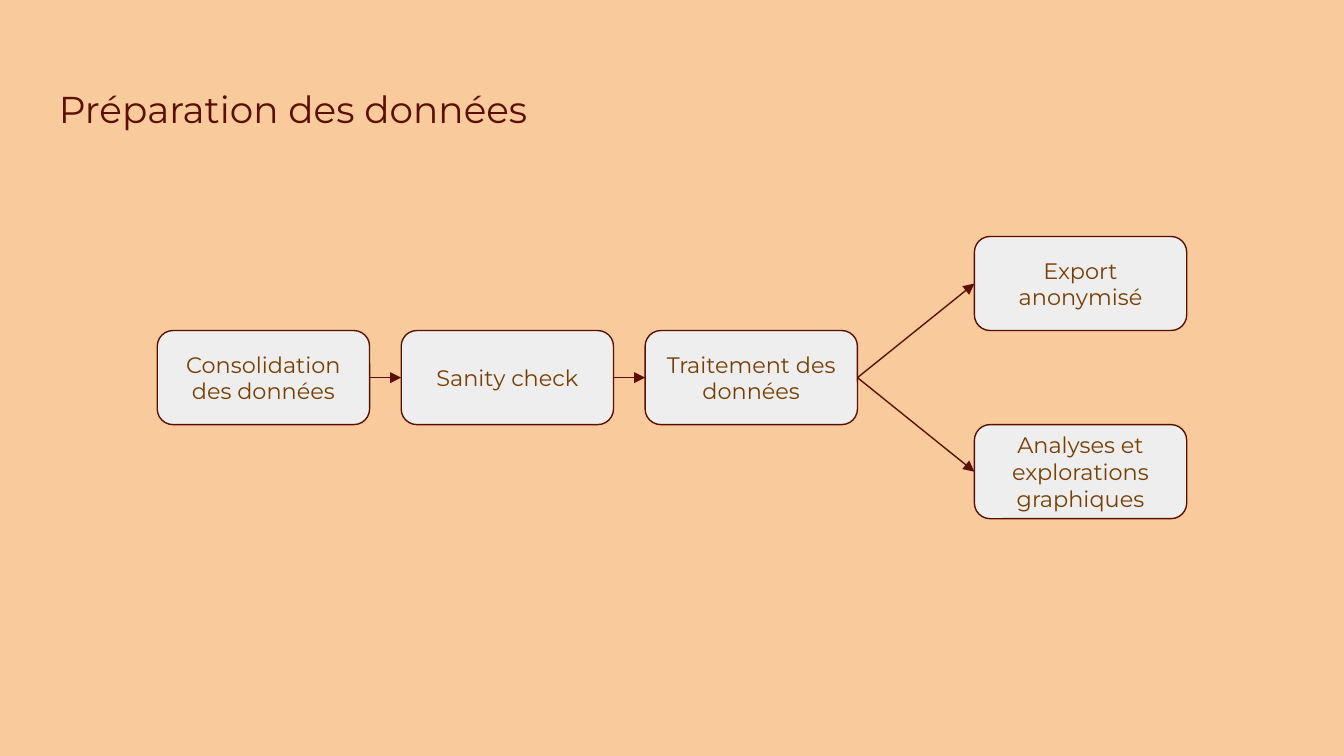
"""Build a flow diagram slide about data preparation."""
from lxml import etree
from pptx import Presentation, util as u
from pptx.dml.color import RGBColor
from pptx.enum import shapes as kinds, text as te
from pptx.oxml.ns import qn

DARK, BROWN, GREY, PEACH = "5B0F00", "783F04", "EEEEEE", "F9CB9C"
WIDE, HIGH = 1.58, 0.7
LEFT, LAST, MID = 1.17, 4.8, 2.46


def paint(fill, color):
    fill.solid()
    fill.fore_color.rgb = RGBColor.from_string(color)


def trim(line):
    paint(line.fill, DARK)
    line.width = u.Pt(0.75)


def write(frame, lines, size, color, align):
    frame.word_wrap = True
    frame.margin_left = frame.margin_right = u.Inches(0.1)
    frame.margin_top = frame.margin_bottom = u.Inches(0.1)
    for i, line in enumerate(lines):
        para = frame.paragraphs[0] if i == 0 else frame.add_paragraph()
        para.alignment = align
        run = para.add_run()
        run.text = line
        run.font.name = "Montserrat"
        run.font.size = u.Pt(size)
        paint(run.font.fill, color)


def title(slide, words):
    area = [u.Inches(n) for n in (0.34, 0.49, 9.32, 0.63)]
    frame = slide.shapes.add_textbox(*area).text_frame
    write(frame, [words], 20, DARK, te.PP_ALIGN.LEFT)
    frame.paragraphs[0].line_spacing = 1.15
    frame.paragraphs[0].space_after = u.Pt(12)


def box(slide, x, y, *lines):
    area = [u.Inches(n) for n in (x, y, WIDE, HIGH)]
    shape = slide.shapes.add_shape(kinds.MSO_SHAPE.ROUNDED_RECTANGLE, *area)
    shape.shadow.inherit = False
    paint(shape.fill, GREY)
    trim(shape.line)
    shape.text_frame.vertical_anchor = te.MSO_ANCHOR.MIDDLE
    write(shape.text_frame, lines, 12, BROWN, te.PP_ALIGN.CENTER)
    return shape


def arrow(slide, start, end):
    link = slide.shapes.add_connector(kinds.MSO_CONNECTOR.STRAIGHT, 0, 0, 0, 0)
    link.begin_connect(start, 3)
    link.end_connect(end, 1)
    trim(link.line)
    props = link._element.spPr
    etree.SubElement(props.get_or_add_ln(), qn("a:tailEnd"), type="triangle")
    etree.SubElement(props, qn("a:effectLst"))


def main():
    deck = Presentation()
    deck.slide_width = u.Inches(10)
    deck.slide_height = u.Inches(10 * 9 / 16)
    slide = deck.slides.add_slide(deck.slide_layouts[6])
    paint(slide.background.fill, PEACH)
    title(slide, "Préparation des données")

    steps = [("Consolidation", "des données"), ("Sanity check",),
             ("Traitement des données",)]
    pitch = (LAST - LEFT) / (len(steps) - 1)
    row = [box(slide, LEFT + i * pitch, MID, *step) for i, step in enumerate(steps)]
    ends = [box(slide, 7.25, MID - HIGH, "Export anonymisé"),
            box(slide, 7.25, MID + HIGH, "Analyses et explorations graphiques")]

    pairs = list(zip(row, row[1:])) + [(row[-1], end) for end in ends]
    for start, end in pairs:
        arrow(slide, start, end)
    deck.save("out.pptx")


if __name__ == "__main__":
    main()
